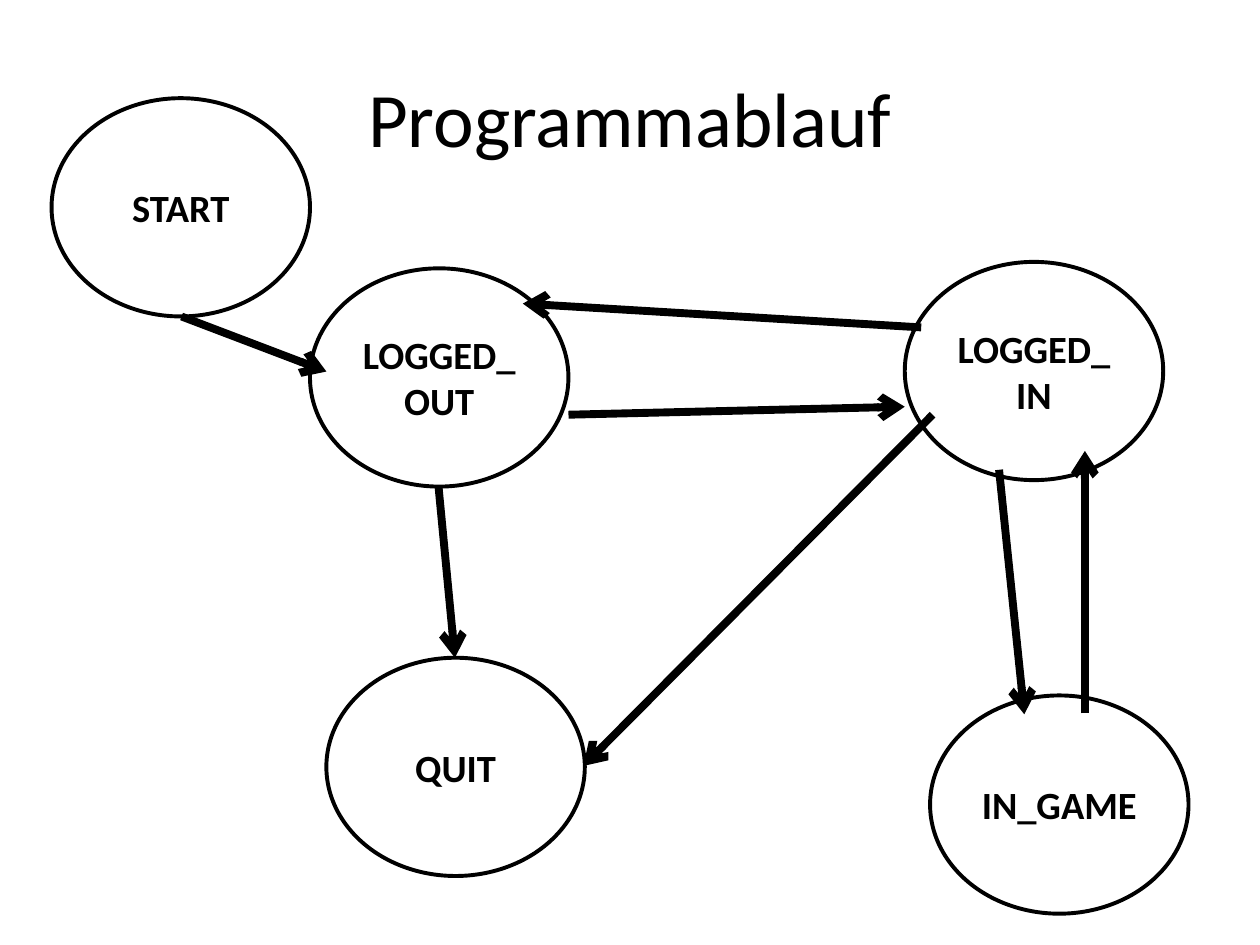
from dataclasses import dataclass

from lxml.etree import SubElement
from pptx import Presentation
from pptx.dml.color import RGBColor
from pptx.enum.shapes import MSO_CONNECTOR as Line, MSO_SHAPE as Shape
from pptx.enum.text import MSO_ANCHOR as Anchor, PP_ALIGN as Align
from pptx.oxml.ns import qn
from pptx.util import Cm, Pt

COLORS = {"ink": "000000", "paper": "FFFFFF"}
STATE_WIDTH, STATE_HEIGHT = 5.21, 4.4
TITLE_FORMAT = {"name": "Calibri", "size": Pt(44), "bold": False}
STATE_FORMAT = {"name": "Calibri", "size": Pt(22), "bold": True}


@dataclass(frozen=True)
class State:
    label: str
    left: float
    top: float


@dataclass(frozen=True)
class Transition:
    x1: float
    y1: float
    x2: float
    y2: float


STATES = [
    State("LOGGED_OUT", 6.25, 5.41),
    State("LOGGED_IN", 18.24, 5.28),
    State("IN_GAME", 18.75, 14.02),
    State("QUIT", 6.58, 13.26),
    State("START", 1.04, 1.98),
]
TRANSITIONS = [
    Transition(11.46, 8.36, 18.24, 8.2),
    Transition(18.57, 6.6, 10.54, 6.12),
    Transition(20.14, 9.47, 20.65, 14.4),
    Transition(21.87, 14.38, 21.87, 9.09),
    Transition(18.8, 8.36, 11.76, 15.44),
    Transition(8.84, 9.81, 9.17, 13.26),
    Transition(3.66, 6.38, 6.58, 7.49),
]


def color(name: str) -> RGBColor:
    """Look up a named colour."""
    return RGBColor.from_string(COLORS[name])


def write(frame, wording: str, font_format: dict) -> None:
    """Put centred, formatted wording into a text frame."""
    frame.word_wrap = True
    frame.vertical_anchor = Anchor.MIDDLE
    paragraph = frame.paragraphs[0]
    paragraph.alignment = Align.CENTER
    run = paragraph.add_run()
    run.text = wording
    for attribute, value in font_format.items():
        setattr(run.font, attribute, value)
    run.font.color.rgb = color("ink")


def draw_state(slide, state: State) -> None:
    """Draw one program state as an outlined ellipse."""
    ellipse = slide.shapes.add_shape(
        Shape.OVAL, Cm(state.left), Cm(state.top), Cm(STATE_WIDTH), Cm(STATE_HEIGHT)
    )
    ellipse.shadow.inherit = False
    ellipse.fill.background()
    ellipse.line.color.rgb = color("ink")
    ellipse.line.width = Pt(2.25)
    write(ellipse.text_frame, state.label, STATE_FORMAT)


def draw_transition(slide, step: Transition) -> None:
    """Draw one transition as a thick open arrow."""
    arrow = slide.shapes.add_connector(
        Line.STRAIGHT, Cm(step.x1), Cm(step.y1), Cm(step.x2), Cm(step.y2)
    )
    arrow.line.color.rgb = color("ink")
    arrow.line.width = Pt(4.5)
    properties = arrow.element.spPr
    SubElement(properties.find(qn("a:ln")), qn("a:tailEnd"), type="arrow")
    SubElement(properties, qn("a:effectLst"))


def main() -> None:
    """Build the program flow slide."""
    deck = Presentation()
    deck.slide_width, deck.slide_height = Cm(25.4), Cm(19.05)
    slide = deck.slides.add_slide(deck.slide_layouts[6])
    slide.background.fill.solid()
    slide.background.fill.fore_color.rgb = color("paper")
    title = slide.shapes.add_textbox(Cm(1.27), Cm(0.76), Cm(22.86), Cm(3.18))
    write(title.text_frame, "Programmablauf", TITLE_FORMAT)
    for state in STATES:
        draw_state(slide, state)
    for step in TRANSITIONS:
        draw_transition(slide, step)
    deck.save("out.pptx")


if __name__ == "__main__":
    main()
